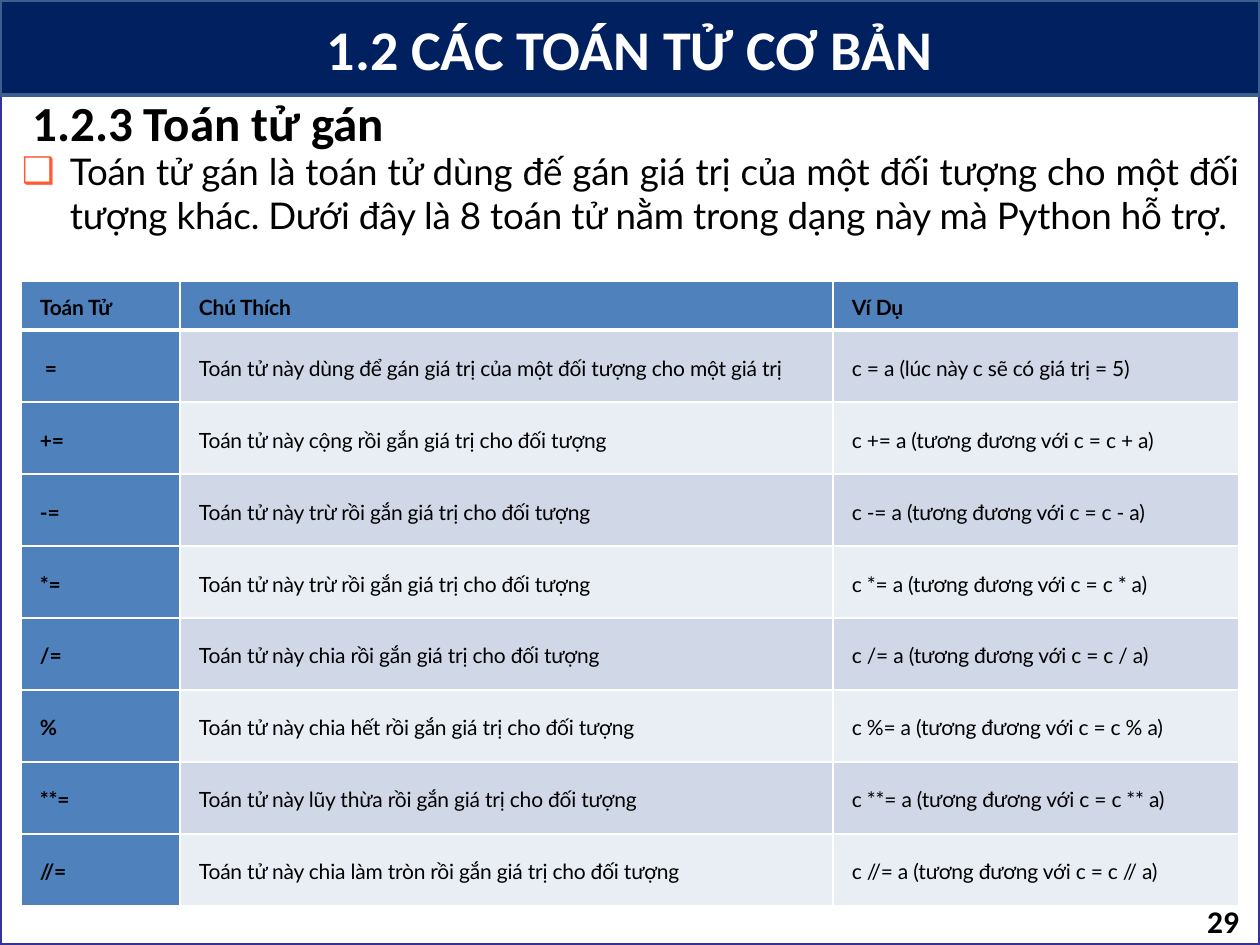
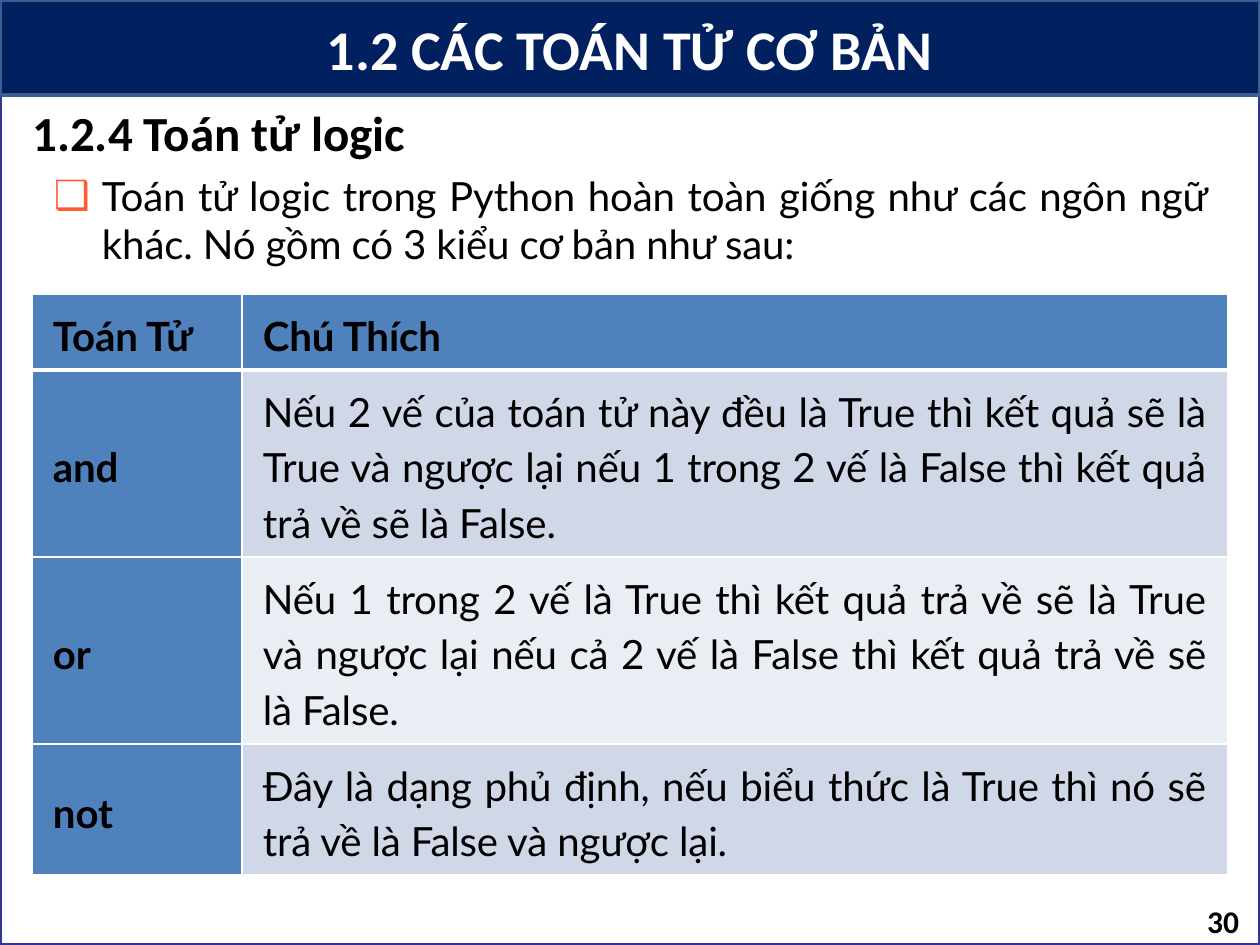
import pptx
import pptx.util
import pptx.dml.color
import pptx.enum.shapes
import pptx.enum.text
import pptx.oxml.ns
import lxml.etree

PX_PER_INCH = 126
WIDTH, HEIGHT = 1260, 945
WHITE, BLACK, NAVY, FRAME_BLUE = "FFFFFF", "000000", "002060", "333399"
BAND_EDGE, HEADER_BLUE, ORANGE = "3A5F8C", "4F81BD", "FF5A33"
STRIPES = ["D0D8E8", "E9EDF4"]
ALIGN = pptx.enum.text.PP_ALIGN
ANCHOR = pptx.enum.text.MSO_ANCHOR
GROW = pptx.enum.text.MSO_AUTO_SIZE.SHAPE_TO_FIT_TEXT
CHAPTER = "1.2 CÁC TOÁN TỬ CƠ BẢN"

ASSIGNMENT = {
    "number": 29,
    "heading": "1.2.3 Toán tử gán",
    "heading_box": (19, 86, 384, 72),
    "intro": "Toán tử gán là toán tử dùng đế gán giá trị của một đối tượng cho một đối tượng khác. "
             "Dưới đây là 8 toán tử nằm trong dạng này mà Python hỗ trợ.",
    "intro_box": (21, 135, 1218, 147),
    "intro_size": 21,
    "table_at": (21, 281),
    "columns": [159, 653, 406],
    "heights": [48] + [72] * 8,
    "cell_size": 12,
    "side_margin": 19,
    "note_align": ALIGN.LEFT,
    "rows": [
        ("Toán Tử", "Chú Thích", "Ví Dụ"),
        (" =", "Toán tử này dùng để gán giá trị của một đối tượng cho một giá trị",
         "c = a (lúc này c sẽ có giá trị = 5)"),
    ] + [
        (sign, f"Toán tử này {action} rồi gắn giá trị cho đối tượng",
         f"c {assign} a (tương đương với c = c {assign[:-1]} a)")
        for sign, assign, action in [
            ("+=", "+=", "cộng"), ("-=", "-=", "trừ"), ("*=", "*=", "trừ"),
            ("/=", "/=", "chia"), ("%", "%=", "chia hết"),
            ("**=", "**=", "lũy thừa"), ("//=", "//=", "chia làm tròn")]
    ],
}

LOGIC = {
    "number": 30,
    "heading": "1.2.4 Toán tử logic",
    "heading_box": (19, 96, 404, 72),
    "intro": "Toán tử logic trong Python hoàn toàn giống như các ngôn ngữ khác. "
             "Nó gồm có 3 kiểu cơ bản như sau:",
    "intro_box": (53, 157, 1155, 111),
    "intro_size": 23,
    "table_at": (32, 294),
    "columns": [210, 986],
    "heights": [76, 187, 187, 131],
    "cell_size": 23,
    "side_margin": 21,
    "note_align": ALIGN.JUSTIFY,
    "rows": [
        ("Toán Tử", "Chú Thích"),
        ("and", "Nếu 2 vế của toán tử này đều là True thì kết quả sẽ là True và ngược lại "
                "nếu 1 trong 2 vế là False thì kết quả trả về sẽ là False."),
        ("or", "Nếu 1 trong 2 vế là True thì kết quả trả về sẽ là True và ngược lại "
               "nếu cả 2 vế là False thì kết quả trả về sẽ là False."),
        ("not", "Đây là dạng phủ định, nếu biểu thức là True thì nó sẽ trả về là False và ngược lại."),
    ],
}


def px(length):
    return round(length * 914400 / PX_PER_INCH)


def rgb(value):
    return pptx.dml.color.RGBColor.from_string(value)


def apply(target, **values):
    for name, value in values.items():
        setattr(target, name, value)


def place(shape, box):
    apply(shape, **dict(zip(("left", "top", "width", "height"), map(px, box))))


def add_xml(parent, tag, **attributes):
    child = lxml.etree.SubElement(parent, pptx.oxml.ns.qn(tag))
    for name, value in attributes.items():
        child.set(name, str(value))
    return child


def set_insets(frame, left=0, top=0, right=0, bottom=0):
    apply(frame, margin_left=px(left), margin_top=px(top),
          margin_right=px(right), margin_bottom=px(bottom))


def write(frame, text, size, font="Calibri", color=BLACK, bold=True, spacing=None,
          margin=0, indent=0, **paragraph_format):
    paragraph = frame.paragraphs[0]
    apply(paragraph, **paragraph_format)
    properties = paragraph._p.get_or_add_pPr()
    properties.set("marL", str(px(margin)))
    properties.set("indent", str(px(indent)))
    run = paragraph.add_run()
    run.text = text
    apply(run.font, name=font, size=pptx.util.Pt(size), bold=bold)
    run.font.color.rgb = rgb(color)
    if spacing is not None:
        run._r.get_or_add_rPr().set("spc", str(spacing))
    return properties


def add_master_background(slide):
    master = slide.slide_layout.slide_master
    for order, (box, fill, edge) in enumerate([
            ((0, 0, WIDTH, HEIGHT), WHITE, FRAME_BLUE),
            ((0, 0, WIDTH, 95), NAVY, BAND_EDGE)]):
        panel = slide.shapes.add_shape(
            pptx.enum.shapes.MSO_SHAPE.RECTANGLE, *map(px, box))
        panel.shadow.inherit = False
        panel.fill.solid()
        panel.fill.fore_color.rgb = rgb(fill)
        panel.line.color.rgb = rgb(edge)
        panel.line.width = pptx.util.Pt(2)
        panel.element.nvSpPr.cNvPr.id = 20 + order
        master.shapes.element.insert(2 + order, panel.element)


def add_title(slide, box):
    title = slide.shapes.title
    place(title, box)
    frame = title.text_frame
    apply(frame, auto_size=GROW, word_wrap=True, vertical_anchor=ANCHOR.MIDDLE)
    set_insets(frame, top=1)
    write(frame, CHAPTER, 32, color=WHITE, margin=1,
          alignment=ALIGN.CENTER, space_before=pptx.util.Pt(1))


def add_page_number(slide, number, box):
    frame = slide.shapes.add_textbox(*map(px, box)).text_frame
    apply(frame, auto_size=GROW, word_wrap=True, vertical_anchor=ANCHOR.MIDDLE)
    set_insets(frame, top=1)
    write(frame, str(number), 18, margin=5,
          alignment=ALIGN.RIGHT, space_before=pptx.util.Pt(1))


def add_heading(slide, heading, box):
    frame = slide.shapes.add_textbox(*map(px, box)).text_frame
    apply(frame, auto_size=GROW, word_wrap=False)
    write(frame, heading, 28, margin=1, space_before=pptx.util.Pt(7.8))


def add_intro(slide, intro, size, box):
    body = slide.placeholders[1]
    place(body, box)
    frame = body.text_frame
    apply(frame, auto_size=GROW, word_wrap=True, vertical_anchor=ANCHOR.TOP)
    set_insets(frame, top=14)
    properties = write(frame, intro, size, font="Lato", bold=False, spacing=-10,
                       margin=49, indent=-48, alignment=ALIGN.JUSTIFY,
                       space_before=pptx.util.Pt(7.8))
    add_xml(add_xml(properties, "a:buClr"), "a:srgbClr", val=ORANGE)
    add_xml(properties, "a:buChar", char="❑")


def draw_borders(cell, row):
    properties = cell._tc.get_or_add_tcPr()
    widths = {"L": 1, "R": 1, "T": 3 if row == 1 else 1, "B": 3 if row == 0 else 1}
    for order, (side, width) in enumerate(widths.items()):
        border = add_xml(properties, f"a:ln{side}", w=pptx.util.Pt(width))
        add_xml(add_xml(border, "a:solidFill"), "a:srgbClr", val=WHITE)
        properties.insert(order, border)


def add_operator_table(slide, topic):
    columns, heights, rows = topic["columns"], topic["heights"], topic["rows"]
    box = (*topic["table_at"], sum(columns), sum(heights))
    table = slide.shapes.add_table(len(rows), len(columns), *map(px, box)).table
    for column, width in zip(table.columns, columns):
        column.width = px(width)
    for row, height in zip(table.rows, heights):
        row.height = px(height)
    for r, texts in enumerate(rows):
        for c, text in enumerate(texts):
            cell = table.cell(r, c)
            is_label = r == 0 or c == 0
            cell.vertical_anchor = ANCHOR.MIDDLE
            set_insets(cell, topic["side_margin"], 10, topic["side_margin"], 10)
            cell.fill.solid()
            cell.fill.fore_color.rgb = rgb(HEADER_BLUE if is_label else STRIPES[(r - 1) % 2])
            write(cell.text_frame, text, topic["cell_size"], font="Lato",
                  bold=is_label, spacing=-10, line_spacing=1.15,
                  alignment=ALIGN.LEFT if is_label else topic["note_align"])
            draw_borders(cell, r)


def add_operator_slide(deck, topic):
    slide = deck.slides.add_slide(deck.slide_layouts[1])
    add_title(slide, (10, 13, 1239, 69))
    add_page_number(slide, topic["number"], (945, 895, 294, 50))
    add_intro(slide, topic["intro"], topic["intro_size"], topic["intro_box"])
    add_operator_table(slide, topic)
    add_heading(slide, topic["heading"], topic["heading_box"])
    return slide


def main():
    deck = pptx.Presentation()
    apply(deck, slide_width=px(WIDTH), slide_height=px(HEIGHT))
    slides = [add_operator_slide(deck, topic) for topic in (ASSIGNMENT, LOGIC)]
    add_master_background(slides[0])
    deck.save("out.pptx")


if __name__ == "__main__":
    main()
